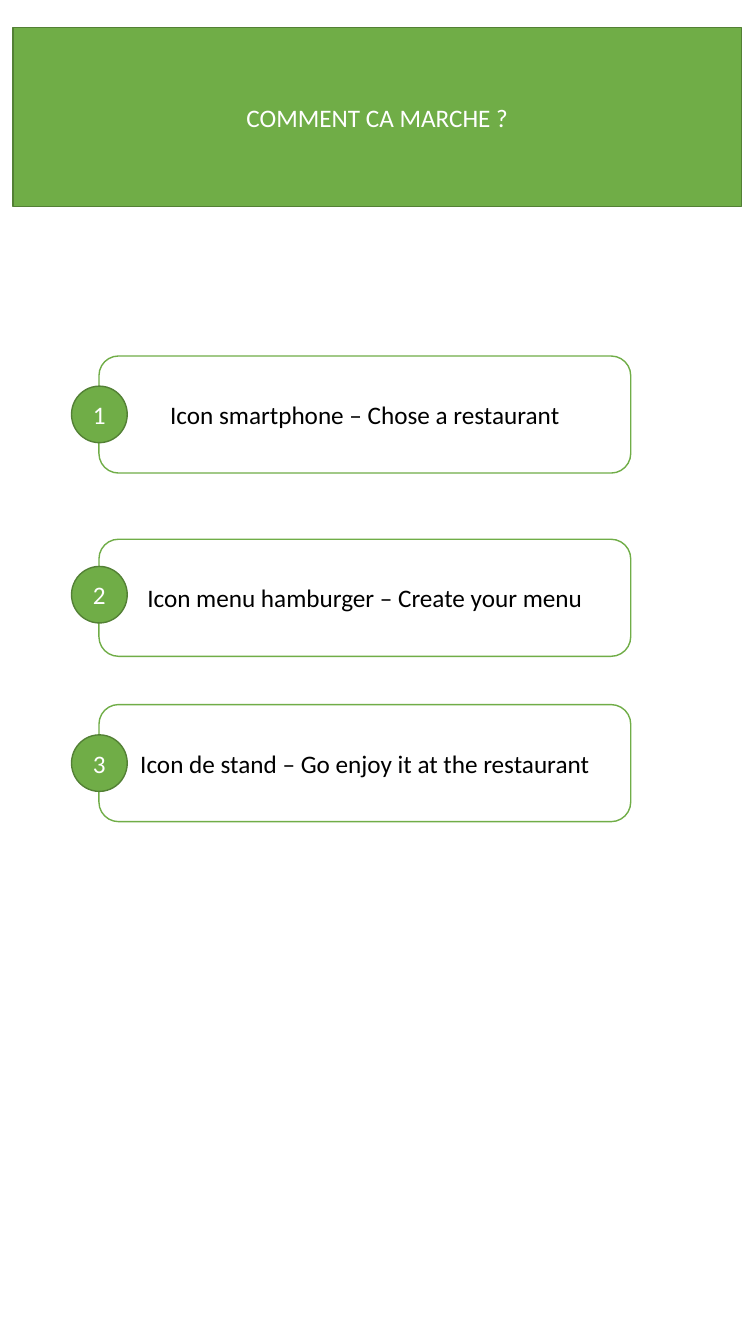
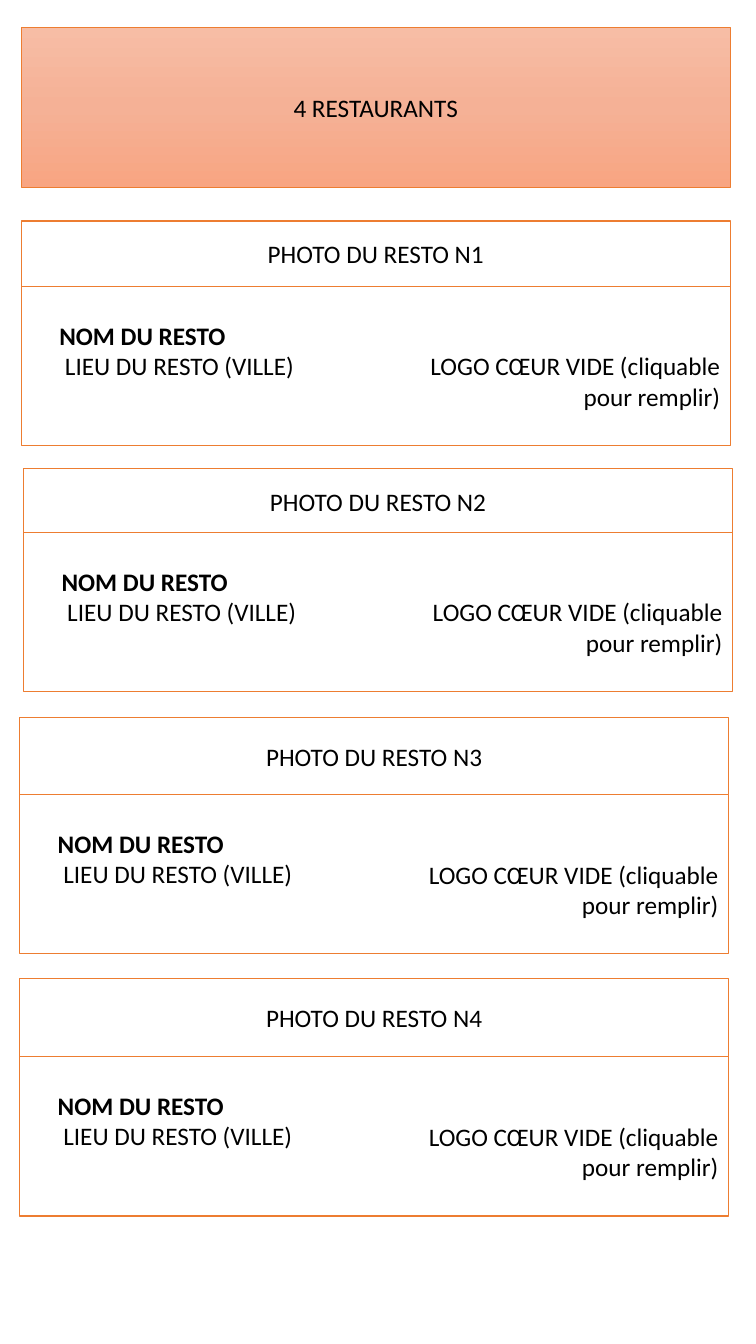
"""Two tall app mock-ups: how it works, and a list of four restaurants."""
from copy import deepcopy
from dataclasses import dataclass
from typing import Optional

from pptx import Presentation
from pptx.dml.color import RGBColor
from pptx.enum import shapes, text
from pptx.oxml import ns
from pptx.util import Pt


@dataclass(frozen=True)
class Theme:
    """Colours and type sizes shared by both slides."""
    font: str = "Calibri"
    size: float = 18
    white: str = "FFFFFF"
    black: str = "000000"
    green: str = "70AD47"
    dark_green: str = "538035"
    orange: str = "ED7D31"
    peach: tuple[str, ...] = ("F7BDA5", "F5B196", "F8A582")
    thin: float = 0.5
    line: float = 1


@dataclass(frozen=True)
class Box:
    """A place on the slide, in points."""
    left: float
    top: float
    width: float
    height: float


@dataclass(frozen=True)
class Style:
    """Outline preset and colours of a shape."""
    preset: shapes.MSO_SHAPE
    fill: str
    line: str
    ink: str


@dataclass(frozen=True)
class Step:
    """One numbered step."""
    label: str
    top: float
    badge_top: float


@dataclass(frozen=True)
class Restaurant:
    """One restaurant card: photo strip above a detail panel."""
    left: float
    top: float
    photo_height: float
    detail_top: float


THEME = Theme()
SOLID_BAND = Style(shapes.MSO_SHAPE.RECTANGLE, THEME.green, THEME.dark_green, THEME.white)
BADGE = Style(shapes.MSO_SHAPE.OVAL, THEME.green, THEME.dark_green, THEME.white)
STEP = Style(shapes.MSO_SHAPE.ROUNDED_RECTANGLE, THEME.white, THEME.green, THEME.black)
CARD = Style(shapes.MSO_SHAPE.RECTANGLE, THEME.white, THEME.orange, THEME.black)

STEPS = (
    Step("Icon smartphone – Chose a restaurant", 254.3, 275.8),
    Step("Icon menu hamburger – Create your menu", 385.2, 404.6),
    Step("Icon de stand – Go enjoy it at the restaurant", 503.3, 524.9),
)
RESTAURANTS = (
    Restaurant(15.2, 157.9, 46.6, 204.5),
    Restaurant(16.8, 334.8, 46, 380.3),
    Restaurant(14, 512.6, 55.4, 567.5),
    Restaurant(14, 699.1, 55.4, 754.7),
)
BAND_TOP = 19.7
CARD_WIDTH, DETAIL_HEIGHT = 506.4, 113.8
DETAIL_INSET, SIDE_INSET, PLACE_INDENT = 27.2, 7.2, 4
NAME_OFFSET, LINE_HEIGHT = 24, 22
HEART_WIDTH = 225


def add_run(paragraph, words: str, ink: str, bold: bool = False) -> None:
    """Append one run in the theme font."""
    run = paragraph.add_run()
    run.text = words
    run.font.name, run.font.size, run.font.bold = THEME.font, Pt(THEME.size), bold
    run.font.color.rgb = RGBColor.from_string(ink)


def add_panel(slide, box: Box, style: Style, label: Optional[str] = None):
    """Draw a flat shape, with a centred label if one is given."""
    panel = slide.shapes.add_shape(
        style.preset, Pt(box.left), Pt(box.top), Pt(box.width), Pt(box.height))
    panel.shadow.inherit = False
    panel.fill.solid()
    panel.fill.fore_color.rgb = RGBColor.from_string(style.fill)
    panel.line.color.rgb = RGBColor.from_string(style.line)
    panel.line.width = Pt(THEME.line)
    panel.text_frame.word_wrap = True
    panel.text_frame.vertical_anchor = text.MSO_ANCHOR.MIDDLE
    if label:
        caption = panel.text_frame.paragraphs[0]
        caption.alignment = text.PP_ALIGN.CENTER
        add_run(caption, label, style.ink)
    return panel


def shade_downwards(panel, colours: tuple[str, ...]) -> None:
    """Fill a shape from top to bottom with evenly spaced colours."""
    panel.fill.gradient()
    panel.fill.gradient_angle = 270
    first = panel._element.spPr.find(".//" + ns.qn("a:gs"))
    for _ in colours[2:]:
        first.addnext(deepcopy(first))
    for index, (stop, colour) in enumerate(zip(panel.fill.gradient_stops, colours)):
        stop.position = index / (len(colours) - 1)
        stop.color.rgb = RGBColor.from_string(colour)


def add_heart_note(slide, right: float, top: float) -> None:
    """Write the note on the heart, flush right and wrapped on two lines."""
    note = slide.shapes.add_textbox(
        Pt(right - HEART_WIDTH), Pt(top), Pt(HEART_WIDTH), Pt(2 * LINE_HEIGHT))
    frame = note.text_frame
    frame.word_wrap = True
    frame.margin_left = frame.margin_right = frame.margin_top = frame.margin_bottom = 0
    heart = frame.paragraphs[0]
    heart.alignment = text.PP_ALIGN.RIGHT
    add_run(heart, "LOGO CŒUR VIDE (cliquable pour remplir)", CARD.ink)


def add_step(slide, number: int, step: Step) -> None:
    """Draw a step with its number badge on the left edge."""
    add_panel(slide, Box(70.7, step.top, 379.8, 83.6), STEP, step.label)
    add_panel(slide, Box(51.1, step.badge_top, 39.8, 40.4), BADGE, str(number))


def add_restaurant(slide, number: int, place: Restaurant) -> None:
    """Draw a photo strip and the name, town and heart below it."""
    add_panel(slide, Box(place.left, place.top, CARD_WIDTH, place.photo_height),
              CARD, f"PHOTO DU RESTO N{number}")
    detail = add_panel(
        slide, Box(place.left, place.detail_top, CARD_WIDTH, DETAIL_HEIGHT), CARD)
    frame = detail.text_frame
    frame.vertical_anchor = text.MSO_ANCHOR.TOP
    frame.margin_left, frame.margin_top = Pt(DETAIL_INSET), Pt(NAME_OFFSET)
    name, town = frame.paragraphs[0], frame.add_paragraph()
    name.alignment = town.alignment = text.PP_ALIGN.LEFT
    add_run(name, "NOM DU RESTO", CARD.ink, bold=True)
    town._p.get_or_add_pPr().set("indent", str(Pt(PLACE_INDENT)))
    add_run(town, "LIEU DU RESTO (VILLE)", CARD.ink)
    add_heart_note(slide, place.left + CARD_WIDTH - SIDE_INSET,
                   place.detail_top + NAME_OFFSET + LINE_HEIGHT)


def build_how_it_works(slide) -> None:
    """Fill the slide with the three steps."""
    add_panel(slide, Box(9.2, BAND_TOP, 520.6, 127.8), SOLID_BAND, "COMMENT CA MARCHE ?")
    for number, step in enumerate(STEPS, start=1):
        add_step(slide, number, step)


def build_restaurants(slide) -> None:
    """Fill the slide with the restaurant cards."""
    band = add_panel(slide, Box(15.2, BAND_TOP, CARD_WIDTH, DETAIL_HEIGHT),
                     CARD, f"{len(RESTAURANTS)} RESTAURANTS")
    shade_downwards(band, THEME.peach)
    band.line.width = Pt(THEME.thin)
    for number, place in enumerate(RESTAURANTS, start=1):
        add_restaurant(slide, number, place)


def main() -> None:
    """Build and save the presentation."""
    deck = Presentation()
    deck.slide_width, deck.slide_height = Pt(540), Pt(960)
    blank = deck.slide_layouts[6]
    for build in (build_how_it_works, build_restaurants):
        build(deck.slides.add_slide(blank))
    deck.save("out.pptx")


main()
